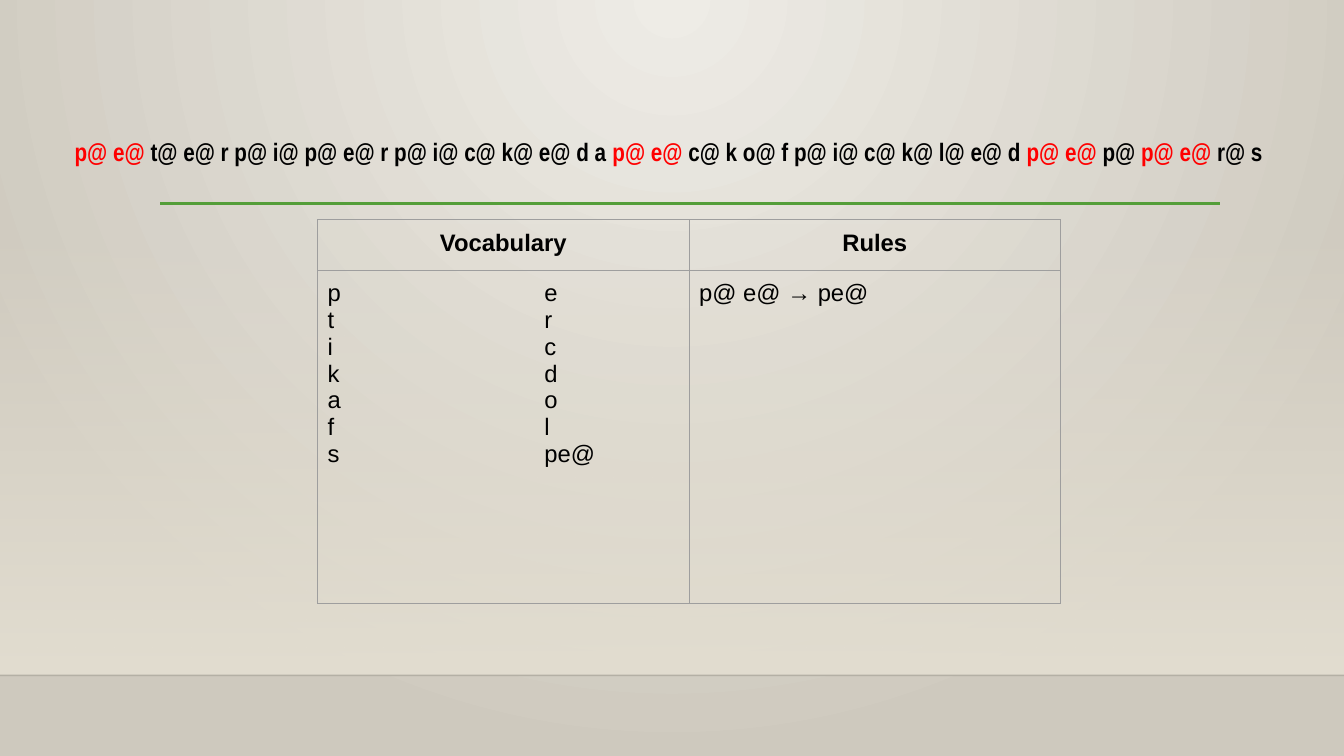
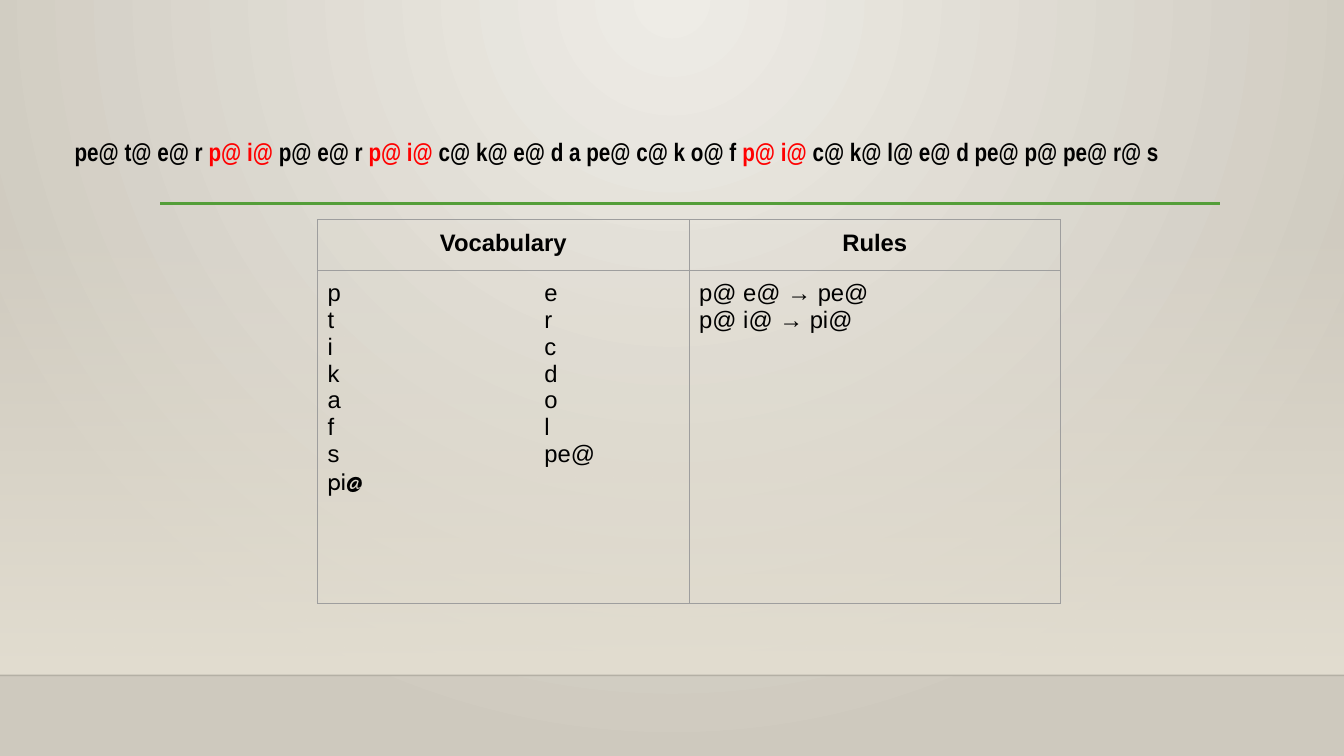
from dataclasses import dataclass

from lxml.etree import SubElement
from pptx import Presentation
from pptx.dml.color import RGBColor
from pptx.enum.shapes import MSO_CONNECTOR as CONNECTOR, MSO_SHAPE as SHAPE
from pptx.enum.text import MSO_ANCHOR as ANCHOR, MSO_AUTO_SIZE as AUTO, PP_ALIGN as ALIGN
from pptx.oxml import parse_xml
from pptx.oxml.ns import nsdecls, qn
from pptx.util import Inches, Pt

BLACK = RGBColor(0x00, 0x00, 0x00)
RED = RGBColor(0xFF, 0x00, 0x00)
WHITE = RGBColor(0xFF, 0xFF, 0xFF)
GREEN = RGBColor(0x54, 0x9E, 0x39)
BORDER = RGBColor(0x9E, 0x9E, 0x9E)
BG_CENTRE = RGBColor(0xEE, 0xEC, 0xE6)
BG_EDGE = RGBColor(0xCE, 0xC9, 0xBE)
BAND = RGBColor(0xE3, 0xDE, 0xD1)

WIDTH, HEIGHT = 13.33, 7.5
FLOOR = 6.7
BODY_FONT, TITLE_FONT, NEW_FONT = "Arial", "Arial Narrow", "Cabin"
LETTERS = ["p", "e", "t", "r", "i", "c", "k", "d", "a", "o", "f", "l", "s"]


@dataclass
class MergeStep:
    """One merge; every second part of the sequence, split at |, is highlighted."""
    sequence: str
    merged: list[str]
    rules: list[str]


STEPS = [
    MergeStep(
        "|p@ e@ |t@ e@ r p@ i@ p@ e@ r p@ i@ c@ k@ e@ d a |p@ e@ |"
        "c@ k o@ f p@ i@ c@ k@ l@ e@ d |p@ e@ |p@ |p@ e@ |r@ s",
        ["pe@"], ["p@ e@ → pe@"]),
    MergeStep(
        "pe@ t@ e@ r |p@ i@ |p@ e@ r |p@ i@ |c@ k@ e@ d a pe@ c@ k o@ f |"
        "p@ i@ |c@ k@ l@ e@ d pe@ p@ pe@ r@ s",
        ["pe@", "pi@"], ["p@ e@ → pe@", "p@ i@ → pi@"]),
]


def gradient_xml(start: RGBColor, end: RGBColor, direction: str, alpha: int = 100) -> str:
    """Return a two-stop gradFill; alpha is the start's opacity in percent."""
    return (f'<a:gradFill {nsdecls("a")} rotWithShape="1"><a:gsLst>'
            f'<a:gs pos="0"><a:srgbClr val="{start}"><a:alpha val="{alpha * 1000}"/></a:srgbClr></a:gs>'
            f'<a:gs pos="100000"><a:srgbClr val="{end}"/></a:gs>'
            f'</a:gsLst>{direction}</a:gradFill>')


def line_xml(tag: str, color: RGBColor, width: float) -> str:
    return (f'<a:{tag} {nsdecls("a")} w="{Pt(width)}"><a:solidFill>'
            f'<a:srgbClr val="{color}"/></a:solidFill></a:{tag}>')


def set_background(master) -> None:
    c_sld = master.element.cSld
    old = c_sld.find(qn("p:bg"))
    if old is not None:
        c_sld.remove(old)
    fill = gradient_xml(BG_CENTRE, BG_EDGE, '<a:path path="circle"><a:fillToRect '
                        'l="43000" t="0" r="43000" b="100000"/></a:path>')
    c_sld.insert(0, parse_xml(f'<p:bg {nsdecls("p")}><p:bgPr>{fill}'
                              f'<a:effectLst {nsdecls("a")}/></p:bgPr></p:bg>'))


def add_rule(shapes, left: float, right: float, y: float, color: RGBColor, width: float):
    line = shapes.add_connector(CONNECTOR.STRAIGHT, Inches(left), Inches(y),
                                Inches(right), Inches(y))
    line.line.color.rgb = color
    line.line.width = Pt(width)
    SubElement(line.element.spPr, qn("a:effectLst"))
    return line


def decorate_master(master, slide) -> None:
    """Build the band and rules on a slide, then move them behind the master's placeholders."""
    shapes = slide.shapes
    band = shapes.add_shape(SHAPE.RECTANGLE, 0, Inches(2.21),
                            Inches(WIDTH), Inches(FLOOR - 2.21))
    band.line.fill.background()
    band.shadow.inherit = False
    band.element.spPr.find(qn("a:prstGeom")).addnext(parse_xml(
        gradient_xml(BAND, BAND, '<a:lin ang="5400000" scaled="0"/>', alpha=0)))

    floor = add_rule(shapes, 0, WIDTH, FLOOR, BLACK, 1)
    floor_color = floor.element.spPr.find(".//" + qn("a:srgbClr"))
    SubElement(floor_color, qn("a:alpha")).set("val", "20000")
    title_rule = add_rule(shapes, 1.59, 12.1, 2.02, GREEN, 2.5)

    tree = master.element.cSld.spTree
    for i, sp in enumerate((band, floor, title_rule), start=2):
        tree.insert(i, sp.element)


def format_run(r, size: float, font: str = BODY_FONT, bold: bool = False,
               color: RGBColor = BLACK) -> None:
    r.font.size = Pt(size)
    r.font.name = font
    r.font.bold = bold
    r.font.color.rgb = color


def add_sequence(slide, sequence: str) -> None:
    title = slide.shapes.title
    title.left, title.top = Inches(0.64), Inches(1.3)
    title.width, title.height = Inches(12.23), Inches(0.4)
    tf = title.text_frame
    tf.word_wrap = True
    tf.auto_size = AUTO.NONE
    tf.vertical_anchor = ANCHOR.MIDDLE
    p = tf.paragraphs[0]
    p.alignment = ALIGN.LEFT
    for i, part in enumerate(sequence.split("|")):
        if part:
            r = p.add_run()
            r.text = part
            format_run(r, 18, TITLE_FONT, True, RED if i % 2 else BLACK)
            r.font.fill  # keeps the fill after the outline
            r.font.element.insert(0, parse_xml(line_xml("ln", WHITE, 1.06))) \
                if hasattr(r.font, "element") else \
                r._r.get_or_add_rPr().insert(0, parse_xml(line_xml("ln", WHITE, 1.06)))


def fill_cell(cell, lines: list[str], header: bool = False) -> None:
    cell.margin_left = cell.margin_right = Inches(0.1)
    cell.margin_top = cell.margin_bottom = Inches(0.1)
    cell.fill.background()
    tc_pr = cell._tc.get_or_add_tcPr()
    for i, tag in enumerate(("lnL", "lnR", "lnT", "lnB")):
        tc_pr.insert(i, parse_xml(line_xml(tag, BORDER, 0.75)))

    tf = cell.text_frame
    for i, text in enumerate(lines):
        p = tf.add_paragraph() if i else tf.paragraphs[0]
        p.text = text
        if "\t" in text:
            tabs = SubElement(p._p.get_or_add_pPr(), qn("a:tabLst"))
            tab = SubElement(tabs, qn("a:tab"))
            tab.set("pos", str(Inches(2.15)))
            tab.set("algn", "l")
        p.alignment = ALIGN.CENTER if header else ALIGN.LEFT
        for r in p.runs:
            format_run(r, 17, NEW_FONT if text == "pi@" else BODY_FONT, header)


def add_merge_table(slide, step: MergeStep) -> None:
    table = slide.shapes.add_table(2, 2, Inches(3.15), Inches(2.18),
                                   Inches(7.37), Inches(3.81)).table
    table.first_row = table.horz_banding = False
    for row, height in zip(table.rows, (0.5, 3.31)):
        row.height = Inches(height)

    entries = LETTERS + step.merged
    vocabulary = ["\t".join(entries[i:i + 2]) for i in range(0, len(entries), 2)]
    columns = (("Vocabulary", vocabulary), ("Rules", step.rules))
    for col, (heading, lines) in enumerate(columns):
        fill_cell(table.cell(0, col), [heading], header=True)
        fill_cell(table.cell(1, col), lines)


def main() -> None:
    prs = Presentation()
    prs.slide_width, prs.slide_height = Inches(WIDTH), Inches(HEIGHT)
    set_background(prs.slide_master)
    title_only = prs.slide_layouts[5]
    for i, step in enumerate(STEPS):
        slide = prs.slides.add_slide(title_only)
        if i == 0:
            decorate_master(prs.slide_master, slide)
        add_sequence(slide, step.sequence)
        add_merge_table(slide, step)
    prs.save("out.pptx")


if __name__ == "__main__":
    main()
